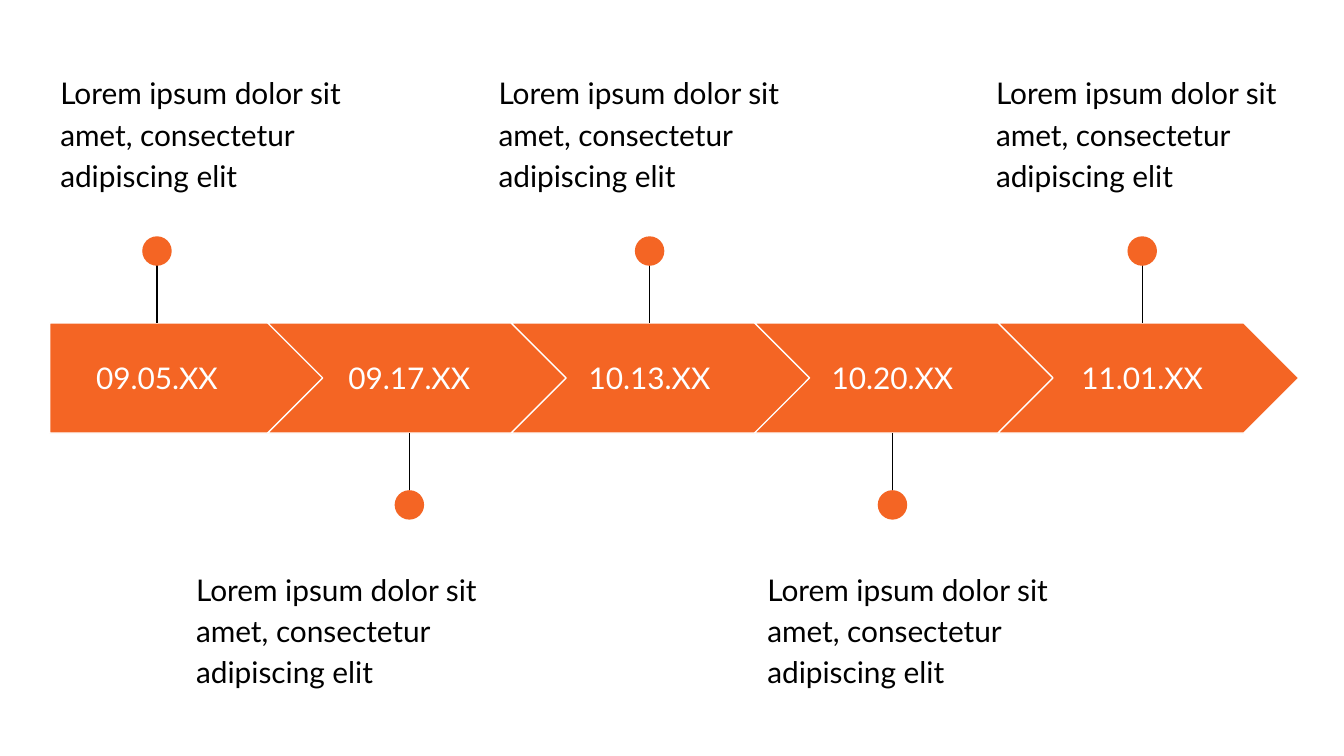
"""Build a five-step timeline slide with dated arrows and alternating notes."""
from lxml import etree
from pptx import Presentation
from pptx.dml.color import RGBColor
from pptx.enum import shapes, text
from pptx.oxml import ns
from pptx.util import Pt

NOTE = "Lorem ipsum dolor sit amet, consectetur adipiscing elit"
MILESTONES = [
    {"date": "09.05.XX", "note": NOTE, "center": 84.1, "note_left": 25.2},
    {"date": "09.17.XX", "note": NOTE, "center": 219.3, "note_left": 98},
    {"date": "10.13.XX", "note": NOTE, "center": 348, "note_left": 260},
    {"date": "10.20.XX", "note": NOTE, "center": 478.1, "note_left": 404},
    {"date": "11.01.XX", "note": NOTE, "center": 611.9, "note_left": 526.5},
]
THEME = {"font": "Lato", "size": 16, "accent": "F46524", "ink": "000000",
         "paper": "FFFFFF", "rule": 0.75}

AXIS, BAND_HEIGHT = 202.5, 59
BAND_LEFT, FIRST_WIDTH = 26.6, 147.6
CHEVRON_LEFT, CHEVRON_WIDTH, PITCH = 143.4, 161.2, 130.4
DATE_WIDTH, DATE_HEIGHT = 104, 36.8
DOT, DOT_OFFSET = 15.8, 68
NOTE_WIDTH, NOTE_HEIGHT = 176.4, 71.2
NOTE_TOPS = {-1: 30.2, 1: 296}


def color(name):
    return RGBColor.from_string(THEME[name])


def add_text(slide, wording, box, ink="ink", align=text.PP_ALIGN.LEFT,
             anchor=text.MSO_ANCHOR.TOP, spacing=1.0, after=0):
    frame = slide.shapes.add_textbox(*map(Pt, box)).text_frame
    frame.word_wrap = True
    frame.vertical_anchor = anchor
    frame.margin_left = frame.margin_right = Pt(7.2)
    frame.margin_top = frame.margin_bottom = Pt(7.2)
    paragraph = frame.paragraphs[0]
    paragraph.text = wording
    paragraph.alignment = align
    paragraph.line_spacing = spacing
    paragraph.space_after = Pt(after)
    paragraph.font.name = THEME["font"]
    paragraph.font.size = Pt(THEME["size"])
    paragraph.font.color.rgb = color(ink)


def add_accent(parent, kind, box, outlined=False):
    accent = parent.shapes.add_shape(kind, *map(Pt, box))
    accent.shadow.inherit = False
    accent.fill.solid()
    accent.fill.fore_color.rgb = color("accent")
    if outlined:
        accent.line.color.rgb = color("paper")
        accent.line.width = Pt(THEME["rule"])
    else:
        accent.line.fill.background()
    return accent


def add_marker(slide, center, side):
    marker = slide.shapes.add_group_shape()
    dot_center = AXIS + side * DOT_OFFSET
    stem = marker.shapes.add_connector(
        shapes.MSO_CONNECTOR.STRAIGHT, Pt(center), Pt(dot_center),
        Pt(center), Pt(AXIS + side * BAND_HEIGHT / 2))
    stem.line.color.rgb = color("ink")
    stem.line.width = Pt(THEME["rule"])
    etree.SubElement(stem._element.spPr, ns.qn("a:effectLst"))
    add_accent(marker, shapes.MSO_SHAPE.OVAL,
               (center - DOT / 2, dot_center - DOT / 2, DOT, DOT))


def add_milestone(slide, index, milestone):
    center = milestone["center"]
    side = 1 if index % 2 else -1
    kind, left, width = shapes.MSO_SHAPE.PENTAGON, BAND_LEFT, FIRST_WIDTH
    if index:
        kind, width = shapes.MSO_SHAPE.CHEVRON, CHEVRON_WIDTH
        left = CHEVRON_LEFT + (index - 1) * PITCH
    arrow = add_accent(slide, kind, (left, AXIS - BAND_HEIGHT / 2, width, BAND_HEIGHT),
                       outlined=True)
    arrow.adjustments[0] = 0.5
    add_text(slide, milestone["date"],
             (center - DATE_WIDTH / 2, AXIS - DATE_HEIGHT / 2, DATE_WIDTH, DATE_HEIGHT),
             ink="paper", align=text.PP_ALIGN.CENTER, anchor=text.MSO_ANCHOR.MIDDLE)
    add_marker(slide, center, side)
    add_text(slide, milestone["note"],
             (milestone["note_left"], NOTE_TOPS[side], NOTE_WIDTH, NOTE_HEIGHT),
             spacing=1.15, after=16)


def main():
    deck = Presentation()
    deck.slide_width, deck.slide_height = Pt(720), Pt(405)
    slide = deck.slides.add_slide(deck.slide_layouts.get_by_name("Blank"))
    for index, milestone in enumerate(MILESTONES):
        add_milestone(slide, index, milestone)
    deck.save("out.pptx")


if __name__ == "__main__":
    main()
